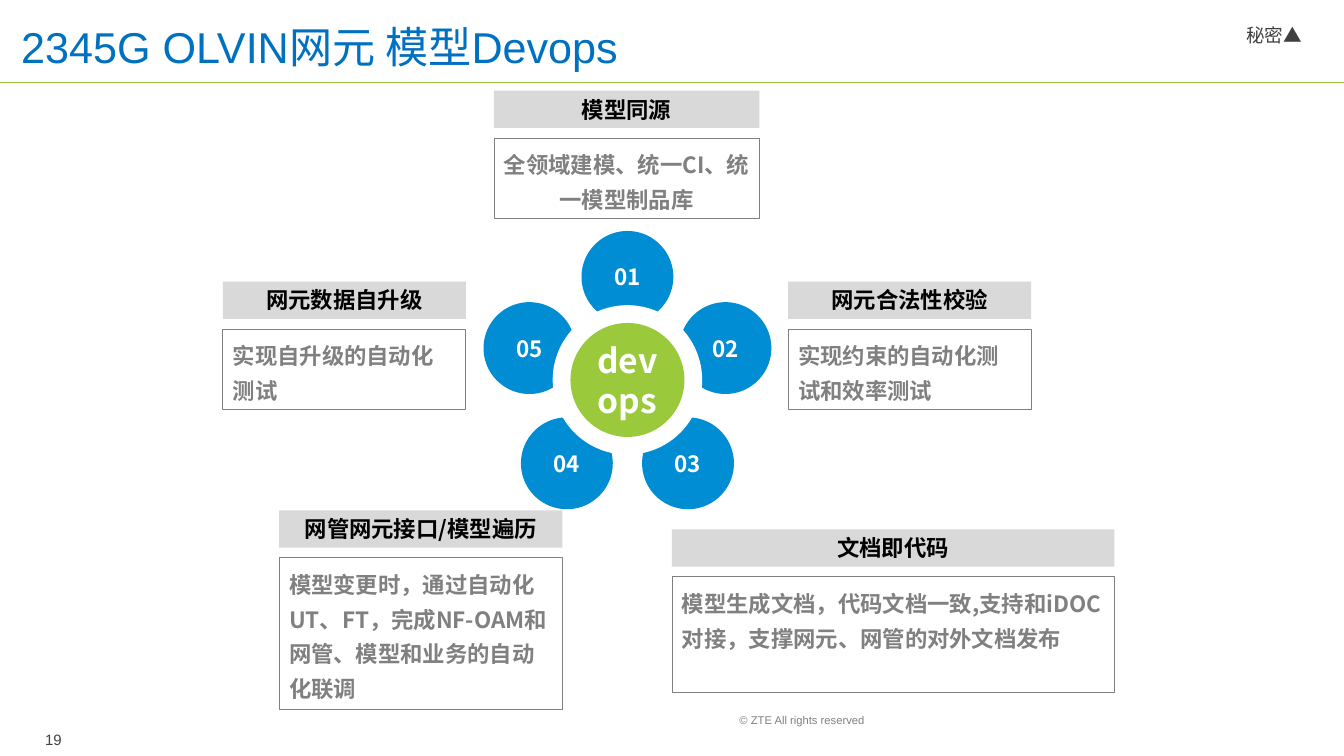
from math import cos, pi, sin

from lxml import etree
from pptx import Presentation
from pptx.dml.color import RGBColor
from pptx.enum import shapes, text
from pptx.oxml.ns import qn
from pptx.util import Pt

CJK = "Noto Sans CJK SC"
BLUE, GREEN, WHITE = "008DD3", "9ACA3C", "FFFFFF"
LEFT, CENTER = text.PP_ALIGN.LEFT, text.PP_ALIGN.CENTER
TOP, MIDDLE = text.MSO_ANCHOR.TOP, text.MSO_ANCHOR.MIDDLE
CARDS = [
    ((352.8, 64.8, 189.6), 57.6, CENTER, "模型同源", "全领域建模、统一CI、统一模型制品库"),
    ((563, 201.2, 173.6), 57.6, LEFT, "网元合法性校验", "实现约束的自动化测试和效率测试"),
    ((159.2, 201.2, 173.6), 57.6, LEFT, "网元数据自升级", "实现自升级的自动化测试"),
    ((199.4, 364.6, 202.4), 108, LEFT, "网管网元接口/模型遍历",
     "模型变更时，通过自动化UT、FT，完成NF-OAM和网管、模型和业务的自动化联调"),
    ((480, 378.2, 316), 82.8, LEFT, "文档即代码",
     "模型生成文档，代码文档一致,支持和iDOC对接，支撑网元、网管的对外文档发布"),
]


def color(value):
    """Turn a hex string into a colour."""
    return RGBColor.from_string(value)


def set_attributes(target, values):
    """Set every attribute named in a dict."""
    for name, value in values.items():
        setattr(target, name, value)


def add_run(paragraph, content, size, shade, bold=False, latin=CJK):
    """Add a run with its Latin and East Asian fonts."""
    run = paragraph.add_run()
    run.text = content
    set_attributes(run.font, {"name": latin, "size": Pt(size), "bold": bold})
    run.font.color.rgb = color(shade)
    etree.SubElement(run.font._element, qn("a:ea")).set("typeface", CJK)


def set_frame(frame, anchor, inset=None):
    """Wrap a text frame and set its anchor and optional even inset."""
    set_attributes(frame, {"word_wrap": True, "vertical_anchor": anchor})
    if inset is not None:
        sides = ("left", "top", "right", "bottom")
        set_attributes(frame, {f"margin_{side}": Pt(inset) for side in sides})


def add_box(slide, kind, box, fill=None, line=None, width=0.5):
    """Add a plain preset shape in a box given in points."""
    shape = slide.shapes.add_shape(kind, *map(Pt, box))
    shape.shadow.inherit = False
    if fill:
        shape.fill.solid()
        shape.fill.fore_color.rgb = color(fill)
    else:
        shape.fill.background()
    if line:
        shape.line.color.rgb = color(line)
        shape.line.width = Pt(width)
    else:
        shape.line.fill.background()
    return shape


def add_circle(slide, center, diameter, fill, lines=(), size=16, line=None):
    """Add a circle around a center with centered lines of text."""
    left, top = (value - diameter / 2 for value in center)
    box = (left, top, diameter, diameter)
    shape = add_box(slide, shapes.MSO_SHAPE.OVAL, box, fill, line, 1)
    frame = shape.text_frame
    set_frame(frame, MIDDLE, 0)
    for index, content in enumerate(lines):
        paragraph = frame.add_paragraph() if index else frame.paragraphs[0]
        paragraph.alignment = CENTER
        add_run(paragraph, content, size, WHITE, True)


def add_flower(slide, center, radius):
    """Draw the five numbered petals around the core."""
    for index in range(5):
        angle = 2 * pi * index / 5
        petal = (center[0] + radius * sin(angle), center[1] - radius * cos(angle))
        add_circle(slide, petal, 65.6, BLUE, [f"{index + 1:02}"])
    add_circle(slide, center, 105.8, WHITE, line=WHITE)
    add_circle(slide, center, 81.4, GREEN, ["dev", "ops"], 24)


def add_card(slide, box, body_height, alignment, heading, body):
    """Draw a grey heading bar with an outlined description below it."""
    left, top, width = box
    bar = add_box(slide, shapes.MSO_SHAPE.RECTANGLE, (left, top, width, 26.6), "D9D9D9")
    panel = add_box(slide, shapes.MSO_SHAPE.RECTANGLE,
                    (left, top + 33.8, width, body_height), line="808080")
    parts = ((bar, heading, "000000", CENTER, 1.0), (panel, body, "808080", alignment, 1.3))
    for shape, content, shade, align, spacing in parts:
        set_frame(shape.text_frame, TOP)
        paragraph = shape.text_frame.paragraphs[0]
        set_attributes(paragraph, {"alignment": align, "line_spacing": spacing})
        add_run(paragraph, content, 16, shade, True)


def add_header(slide, box, content):
    """Place the title and the green rule under it."""
    title = slide.shapes.title
    set_attributes(title, dict(zip(("left", "top", "width", "height"), map(Pt, box))))
    set_frame(title.text_frame, MIDDLE)
    title.text_frame.auto_size = text.MSO_AUTO_SIZE.NONE
    paragraph = title.text_frame.paragraphs[0]
    set_attributes(paragraph, {"alignment": LEFT, "line_spacing": 0.9})
    add_run(paragraph, content, 30.8, "0070C0", latin="Arial")
    rule = slide.shapes.add_connector(
        shapes.MSO_CONNECTOR.STRAIGHT, Pt(0), Pt(59), Pt(960), Pt(59))
    rule.line.color.rgb = color(GREEN)
    rule.line.width = Pt(0.5)
    etree.SubElement(rule._element.spPr, qn("a:effectLst"))


def add_label(slide, box, anchor, inset, runs):
    """Add a small one-line text box made of runs."""
    frame = slide.shapes.add_textbox(*map(Pt, box)).text_frame
    set_frame(frame, anchor, inset)
    for content, size, shade, bold, latin in runs:
        add_run(frame.paragraphs[0], content, size, shade, bold, latin)


def add_marks(slide):
    """Add the copyright line, page number and secrecy mark."""
    add_label(slide, (528.2, 509.8, 229.7, 18), TOP, 0,
              [("© ZTE All rights reserved", 8, "7F7F7F", False, "Arial")])
    add_label(slide, (25.2, 509, 43.9, 38.2), MIDDLE, None,
              [("19", 10.7, "404040", False, "Arial")])
    add_label(slide, (890.2, 17.3, 53.3, 31.7), TOP, 0,
              [("秘密", 13.3, "404040", False, CJK), ("▲", 13.3, "404040", True, CJK)])


def main():
    """Build and save the presentation."""
    presentation = Presentation()
    set_attributes(presentation, {"slide_width": Pt(960), "slide_height": Pt(540)})
    slide = presentation.slides.add_slide(presentation.slide_layouts[5])
    add_marks(slide)
    add_header(slide, (7.9, 11.5, 621.4, 47.5), "2345G OLVIN网元 模型Devops")
    add_flower(slide, (448.2, 271.4), 73.6)
    for card in CARDS:
        add_card(slide, *card)
    presentation.save("out.pptx")


if __name__ == "__main__":
    main()
